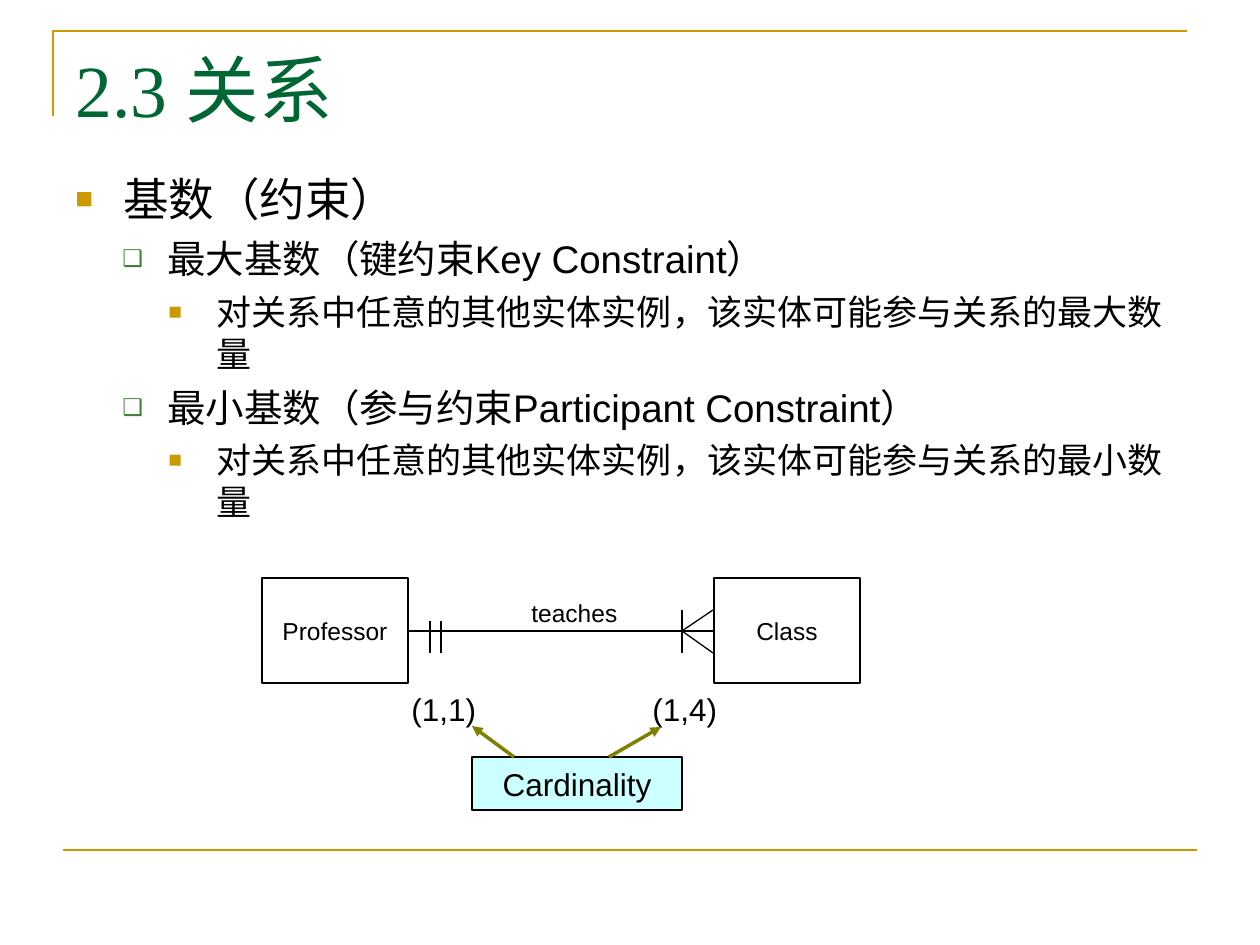
from lxml import etree
from pptx import Presentation
from pptx.dml.color import RGBColor
from pptx.enum.shapes import MSO_CONNECTOR, MSO_SHAPE
from pptx.enum.text import MSO_ANCHOR, PP_ALIGN
from pptx.oxml.ns import qn
from pptx.util import Pt

EMU_PER_PX = 914400 / 126
BLANK_LAYOUT = 6
STRAIGHT = MSO_CONNECTOR.STRAIGHT
RECTANGLE = MSO_SHAPE.RECTANGLE
TOP, MIDDLE = MSO_ANCHOR.TOP, MSO_ANCHOR.MIDDLE
LEFT, CENTER = PP_ALIGN.LEFT, PP_ALIGN.CENTER

GOLD = RGBColor(0xCC, 0x99, 0x00)
DARK_GREEN = RGBColor(0x00, 0x66, 0x33)
LEAF_GREEN = RGBColor(0x3B, 0x81, 0x2F)
OLIVE = RGBColor(0x80, 0x80, 0x00)
PALE_CYAN = RGBColor(0xCC, 0xFF, 0xFF)
WHITE = RGBColor(0xFF, 0xFF, 0xFF)
BLACK = RGBColor(0x00, 0x00, 0x00)

# Outline level: left margin and hanging indent in px, then text and bullet formats
LEVELS = [
    {"margin": 48, "hang": 48, "size": 26, "before": 0, "bullet": "■", "color": GOLD, "percent": 65},
    {"margin": 92, "hang": 45, "size": 22, "before": 5.5, "bullet": "❑", "color": LEAF_GREEN, "percent": 60},
    {"margin": 141, "hang": 48, "size": 20, "before": 5, "bullet": "■", "color": GOLD, "percent": 65},
]
OUTLINE = [
    (0, "基数（约束）"),
    (1, "最大基数（键约束Key Constraint）"),
    (2, "对关系中任意的其他实体实例，该实体可能参与关系的最大数量"),
    (1, "最小基数（参与约束Participant Constraint）"),
    (2, "对关系中任意的其他实体实例，该实体可能参与关系的最小数量"),
]


def px(length):
    return round(length * EMU_PER_PX)


def write(para, text, size, color=BLACK, name="Arial"):
    span = para.add_run()
    span.text = text
    for key, value in {"size": Pt(size), "name": name}.items():
        setattr(span.font, key, value)
    span.font.color.rgb = color


def add_text(page, area, text, size, **font):
    box = page.shapes.add_textbox(*map(px, area))
    box.text_frame.word_wrap = True
    write(box.text_frame.paragraphs[0], text, size, **font)


def add_bullet(para, level):
    properties = para._p.get_or_add_pPr()
    properties.set("marL", str(px(level["margin"])))
    properties.set("indent", str(-px(level["hang"])))
    color = etree.SubElement(properties, qn("a:buClr"))
    etree.SubElement(color, qn("a:srgbClr"), val=str(level["color"]))
    etree.SubElement(properties, qn("a:buSzPct"), val=str(level["percent"] * 1000))
    etree.SubElement(properties, qn("a:buFont"), typeface="Arial")
    etree.SubElement(properties, qn("a:buChar"), char=level["bullet"])


def add_outline(page, area):
    frame = page.shapes.add_textbox(*map(px, area)).text_frame
    frame.word_wrap = True
    for index, (depth, text) in enumerate(OUTLINE):
        para = frame.add_paragraph() if index else frame.paragraphs[0]
        level = LEVELS[depth]
        para.level = depth
        add_bullet(para, level)
        para.space_before = Pt(level["before"])
        write(para, text, level["size"])


def add_box(page, area, text, size, fill=WHITE, width=1):
    box = page.shapes.add_shape(RECTANGLE, *map(px, area))
    box.shadow.inherit = False
    box.fill.solid()
    box.fill.fore_color.rgb = fill
    box.line.color.rgb = BLACK
    box.line.width = Pt(width)
    for key, value in {"word_wrap": False, "vertical_anchor": MIDDLE}.items():
        setattr(box.text_frame, key, value)
    para = box.text_frame.paragraphs[0]
    para.alignment = CENTER
    write(para, text, size)


def add_line(page, start, end, color=BLACK, width=0.75, arrow=False):
    line = page.shapes.add_connector(STRAIGHT, *map(px, (*start, *end)))
    line.line.color.rgb = color
    line.line.width = Pt(width)
    if arrow:
        etree.SubElement(line.line._get_or_add_ln(), qn("a:tailEnd"), type="triangle")
    etree.SubElement(line._element.spPr, qn("a:effectLst"))


def add_frame_lines(page):
    builder = page.shapes.build_freeform(53, 116, scale=EMU_PER_PX)
    builder.add_line_segments([(53, 31), (1187, 31)], close=False)
    corner = builder.convert_to_shape()
    corner.shadow.inherit = False
    corner.fill.background()
    corner.line.color.rgb = GOLD
    corner.line.width = Pt(1.5)
    add_line(page, (63, 850), (1197, 850), GOLD, 1.5)


def add_diagram(page):
    for left, entity in ((262, "Professor"), (714, "Class")):
        add_box(page, (left, 578, 146, 105), entity, 14)

    axis = 631
    add_line(page, (408, axis), (714, axis))
    add_text(page, (519, 592, 146, 43), "teaches", 14)
    for x, top in ((441, 621), (430, 621), (682, 610)):
        add_line(page, (x, top), (x, 653))
    for toe in (610, 653):
        add_line(page, (682, axis), (713, toe))

    for left, cardinality in ((399, "(1,1)"), (640, "(1,4)")):
        add_text(page, (left, 684, 136, 50), cardinality, 18)
    add_box(page, (472, 757, 210, 53), "Cardinality", 18, PALE_CYAN, 0.75)
    for start, end in (((514, 757), (472, 726)), ((609, 757), (661, 727))):
        add_line(page, start, end, OLIVE, 2, arrow=True)


def main():
    deck = Presentation()
    deck.slide_width, deck.slide_height = px(1260), px(945)
    page = deck.slides.add_slide(deck.slide_layouts[BLANK_LAYOUT])
    add_frame_lines(page)
    add_text(page, (63, 38, 1134, 158), "2.3 关系", 42, color=DARK_GREEN, name="Times New Roman")
    add_outline(page, (63, 165, 1134, 624))
    add_diagram(page)
    deck.save("out.pptx")


if __name__ == "__main__":
    main()
